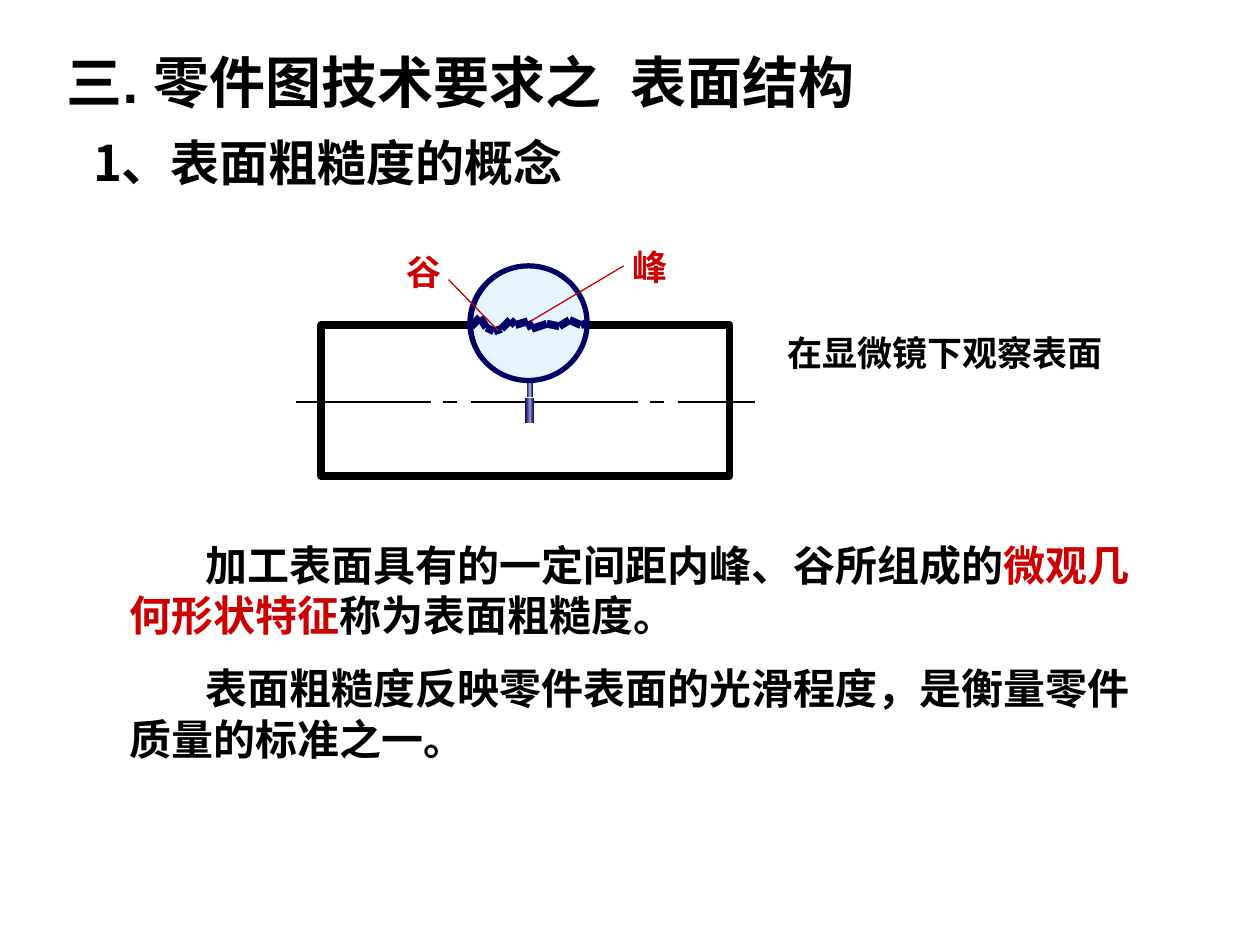
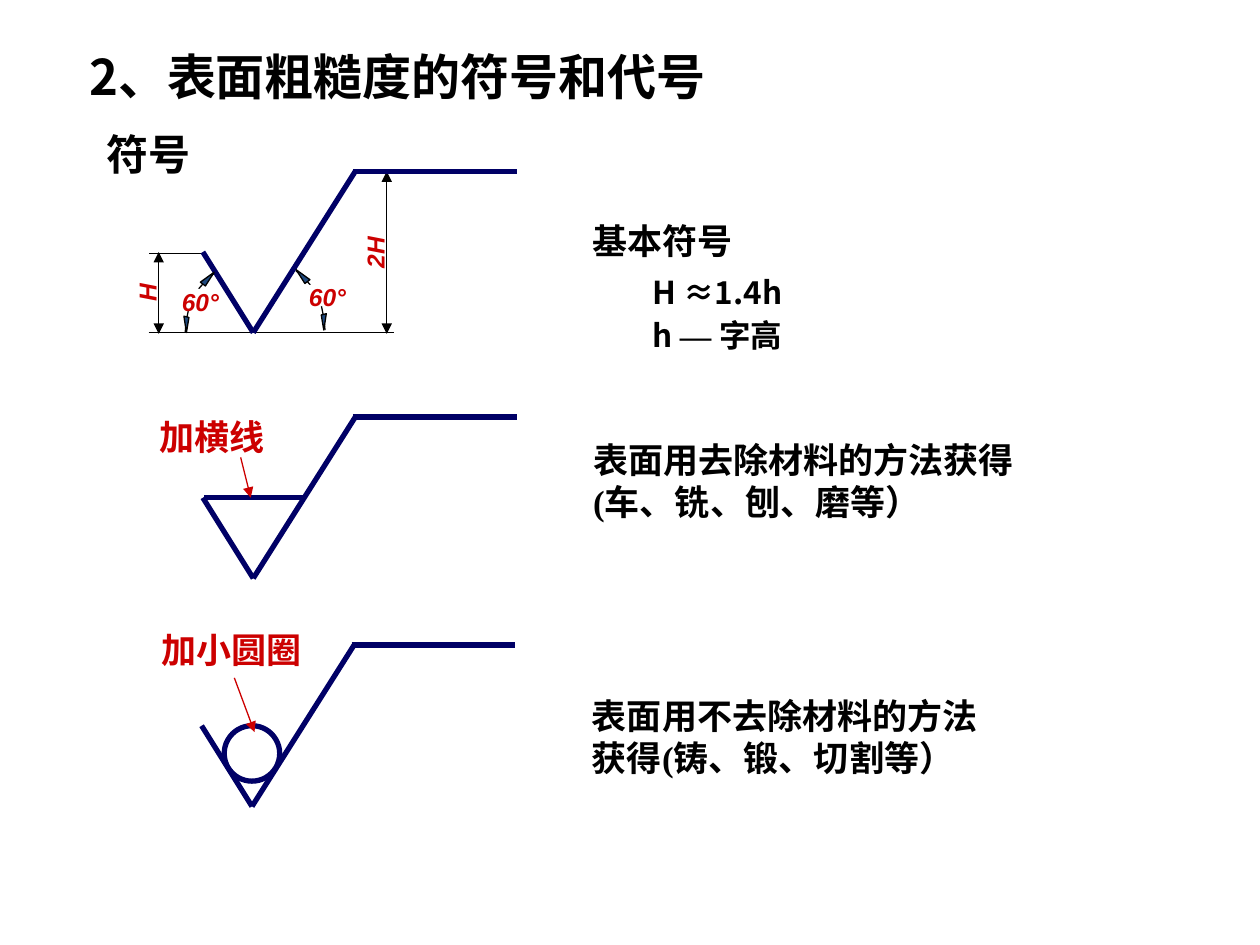
from copy import deepcopy
from itertools import pairwise

from lxml.etree import SubElement
from pptx import Presentation
from pptx.dml.color import RGBColor
from pptx.enum.shapes import MSO_CONNECTOR, MSO_SHAPE
from pptx.enum.text import MSO_ANCHOR, MSO_AUTO_SIZE, PP_ALIGN
from pptx.oxml.ns import qn
from pptx.util import Pt

PX = 9144
COLORS = {
    "black": "000000", "navy": "000066", "red": "CC0000", "white": "FFFFFF",
    "lens": "E6F4FE", "arrow": "1F497D", "stem": "A6A6CA", "grip": "8E8EBB",
}
CJK_FONT = "Noto Sans CJK SC"
HEADING = {"name": CJK_FONT, "size": 28}
BODY = {"name": "Times New Roman", "size": 24}
CAPTION = {"name": "Times New Roman", "size": 20}
RED_CAPTION = {**CAPTION, "color": "red"}
DIMENSION = {"name": "Arial", "size": 14, "color": "red", "italic": True}


def rgb(name):
    """Return a named colour."""
    return RGBColor.from_string(COLORS[name])


def px(*lengths):
    """Turn px lengths into EMU."""
    return [length * PX for length in lengths]


def apply_formats(target, formats):
    """Set every attribute in formats on the target."""
    for name, value in formats.items():
        setattr(target, name, value)


def add_run(paragraph, text, style):
    """Add a bold run in the given style."""
    run = paragraph.add_run()
    run.text = text
    apply_formats(run.font, {
        "name": style["name"], "size": Pt(style["size"]),
        "bold": True, "italic": style.get("italic", False),
    })
    run.font.color.rgb = rgb(style.get("color", "black"))
    properties = run._r.get_or_add_rPr()
    SubElement(properties, qn("a:ea")).set("typeface", CJK_FONT)
    if "spacing" in style:
        properties.set("spc", str(style["spacing"]))


def add_text(slide, place, paragraphs, style, wrap=True, indent=0, pitch=1.2, **formats):
    """Add a text box whose paragraphs are lists of (text, style changes)."""
    box = slide.shapes.add_textbox(*px(*place))
    box.rotation = formats.pop("rotation", 0)
    frame = box.text_frame
    alignment = formats.pop("alignment", PP_ALIGN.LEFT)
    apply_formats(frame, {
        "word_wrap": wrap, "auto_size": MSO_AUTO_SIZE.SHAPE_TO_FIT_TEXT,
        "margin_left": 10 * PX, "margin_right": 10 * PX,
        "margin_top": 6 * PX, "margin_bottom": 4 * PX, **formats,
    })
    for index, parts in enumerate(paragraphs):
        paragraph = frame.paragraphs[0] if index == 0 else frame.add_paragraph()
        apply_formats(paragraph, {
            "alignment": alignment, "line_spacing": Pt(style["size"] * pitch),
        })
        if indent:
            paragraph._p.get_or_add_pPr().set("indent", str(indent * PX))
        for text, changes in parts:
            add_run(paragraph, text, {**style, **changes})


def add_label(slide, place, text, style, **formats):
    """Add a text box with one run."""
    add_text(slide, place, [[(text, {})]], style, **formats)


def add_dimension(slide, place, text, **formats):
    """Add a centred red dimension text."""
    add_label(slide, place, text, DIMENSION, alignment=PP_ALIGN.CENTER,
              vertical_anchor=MSO_ANCHOR.MIDDLE, **formats)


def add_line(slide, start, end, color="black", width=0.75, ends=()):
    """Add a straight line with triangles at the named ends."""
    line = slide.shapes.add_connector(MSO_CONNECTOR.STRAIGHT, *px(*start, *end))
    line.line.color.rgb = rgb(color)
    line.line.width = Pt(width)
    for end_name in ends:
        SubElement(line.line._get_or_add_ln(), qn(f"a:{end_name}")).set("type", "triangle")
    SubElement(line._element.spPr, qn("a:effectLst"))


def add_chain(slide, points, color, width):
    """Join successive points with straight lines."""
    for start, end in pairwise(points):
        add_line(slide, start, end, color, width)


def paint(shape, fill=None, line=None, width=0.75):
    """Set fill and outline, leaving out whichever is None."""
    shape.shadow.inherit = False
    if fill:
        shape.fill.solid()
        shape.fill.fore_color.rgb = rgb(fill)
    else:
        shape.fill.background()
    if line:
        shape.line.color.rgb = rgb(line)
        shape.line.width = Pt(width)
    else:
        shape.line.fill.background()


def add_preset(slide, kind, place, rotation=0, **colors):
    """Add a painted preset shape."""
    shape = slide.shapes.add_shape(kind, *px(*place))
    shape.rotation = rotation
    paint(shape, **colors)
    return shape


def add_outline(slide, points, close, **colors):
    """Add a painted freeform through the points."""
    builder = slide.shapes.build_freeform(*points[0], scale=PX)
    builder.add_line_segments(points[1:], close=close)
    paint(builder.convert_to_shape(), **colors)


def add_rod(slide, place, middle):
    """Add a bar shaded from navy through a lighter middle."""
    rod = add_preset(slide, MSO_SHAPE.RECTANGLE, place)
    rod.fill.gradient()
    rod.fill.gradient_angle = 0
    stops = rod._element.spPr.find(".//" + qn("a:gsLst"))
    stops.insert(1, deepcopy(stops[0]))
    for stop, position, color in zip(rod.fill.gradient_stops, (0, 0.5, 1),
                                     ("navy", middle, "navy")):
        stop.position = position
        stop.color.rgb = rgb(color)


def add_microscope(slide):
    """Draw the lens with the rough surface seen in it."""
    surface = [(374, 259), (381, 252), (386, 260), (392, 263), (398, 261), (405, 254),
               (409, 258), (419, 255), (422, 261), (434, 257), (444, 259), (452, 254),
               (461, 258), (467, 256)]
    add_preset(slide, MSO_SHAPE.OVAL, (375, 212, 90, 90), fill="lens", line="black")
    add_chain(slide, surface, "navy", 4.5)
    add_rod(slide, (418, 302, 5, 13), "stem")
    add_preset(slide, MSO_SHAPE.OVAL, (373, 211, 93, 91), line="navy", width=3)
    add_rod(slide, (417, 316, 7, 20), "grip")


def add_check_mark(slide, x, y):
    """Draw the basic surface symbol with its tip at x, y."""
    add_chain(slide, [(x - 40, y - 64), (x, y), (x + 81, y - 128)], "navy", 3)
    add_line(slide, (x + 79, y - 128), (x + 209, y - 128), "navy", 3)


def add_angle(slide, place, mask, rotation, mirrored):
    """Draw a 60° angle mark, on the right side when mirrored."""
    def side(points):
        return [(405 - x, y - 2) for x, y in points] if mirrored else points

    arc = [(170, 217), (164, 222), (158, 229), (153, 236), (150, 244), (148, 254), (147, 264)]
    add_outline(slide, side(arc), False, line="black")
    for tip in ([(170, 216), (159, 224), (163, 227)], [(148, 264), (146, 251), (150, 252)]):
        add_outline(slide, side(tip), True, fill="arrow", line="black")
    add_preset(slide, MSO_SHAPE.RECTANGLE, mask, rotation, fill="white", line="white")
    add_dimension(slide, place, "60°", wrap=False)


def build_concept(slide):
    """Build the slide on what surface roughness is."""
    add_label(slide, (64, 99, 521, 57), "1、表面粗糙度的概念", HEADING)
    add_preset(slide, MSO_SHAPE.RECTANGLE, (255, 258, 324, 120), line="black", width=4.5)
    for left, right in ((235, 342), (352, 363), (374, 506), (516, 527), (538, 599)):
        add_line(slide, (left, 319), (right, 319))
    add_microscope(slide)
    add_line(slide, (421, 255), (495, 211), "red")
    add_label(slide, (492, 189, 48, 43), "峰", RED_CAPTION, wrap=False)
    add_line(slide, (356, 222), (395, 262), "red")
    add_label(slide, (313, 193, 48, 43), "谷", RED_CAPTION, wrap=False)
    add_label(slide, (615, 257, 334, 43), "在显微镜下观察表面", CAPTION)
    add_text(slide, (93, 422, 823, 90), [[
        ("加工表面具有的一定间距内峰、谷所组成的", {}),
        ("微观几何形状特征", {"color": "red"}),
        ("称为表面粗糙度。", {}),
    ]], BODY, indent=60)
    add_label(slide, (93, 520, 816, 90),
              "表面粗糙度反映零件表面的光滑程度，是衡量零件质量的标准之一。", BODY, indent=60)
    add_text(slide, (43, 32, 709, 64), [[
        ("三. 零件图技术要求之", {}), (" ", {"spacing": 900}), ("表面结构", {}),
    ]], {"name": "Arial", "size": 32})


def build_symbols(slide):
    """Build the slide on the roughness symbols."""
    add_label(slide, (61, 31, 705, 57), "2、表面粗糙度的符号和代号", HEADING)
    add_label(slide, (75, 96, 127, 50), "符号", BODY)

    add_line(slide, (163, 201), (118, 201))
    add_line(slide, (118, 264), (313, 264))
    for x, top in ((126, 200), (307, 136)):
        add_line(slide, (x, top), (x, 265), ends=("headEnd", "tailEnd"))
    add_dimension(slide, (91, 216, 49, 33), "H", rotation=270)
    add_dimension(slide, (257, 184, 79, 33), "2H", rotation=270)

    for x, y in ((201, 264), (201, 459), (200, 640)):
        add_check_mark(slide, x, y)
    add_line(slide, (162, 395), (241, 395), "navy", 3)
    add_preset(slide, MSO_SHAPE.OVAL, (178, 576, 44, 44), line="navy", width=3)

    add_angle(slide, (130, 222, 58, 33), (145, 229, 17, 18), 11.6, False)
    add_angle(slide, (231, 218, 58, 33), (241, 226, 17, 18), 338.7, True)

    add_label(slide, (117, 324, 104, 43), "加横线", RED_CAPTION, wrap=False)
    add_line(slide, (191, 363), (199, 395), "red", ends=("tailEnd",))
    add_label(slide, (118, 493, 132, 43), "加小圆圈", RED_CAPTION, wrap=False)
    add_line(slide, (186, 538), (202, 581), "red", ends=("tailEnd",))

    add_label(slide, (460, 168, 138, 43), "基本符号", CAPTION)
    add_text(slide, (508, 211, 134, 70), [
        [("H ≈1.4h", {})],
        [("h ", {}), ("— ", {"name": "Times New Roman"}), ("字高", {})],
    ], {"name": CJK_FONT, "size": 18}, wrap=False, pitch=1.36,
        vertical_anchor=MSO_ANCHOR.MIDDLE)
    add_label(slide, (461, 342, 355, 77), "表面用去除材料的方法获得(车、铣、刨、磨等）", CAPTION)
    add_label(slide, (460, 545, 346, 77), "表面用不去除材料的方法获得(铸、锻、切割等）", CAPTION)


def main():
    """Build and save the presentation."""
    presentation = Presentation()
    apply_formats(presentation, {"slide_width": 1000 * PX, "slide_height": 750 * PX})
    for build in (build_concept, build_symbols):
        build(presentation.slides.add_slide(presentation.slide_layouts[6]))
    presentation.save("out.pptx")


if __name__ == "__main__":
    main()
